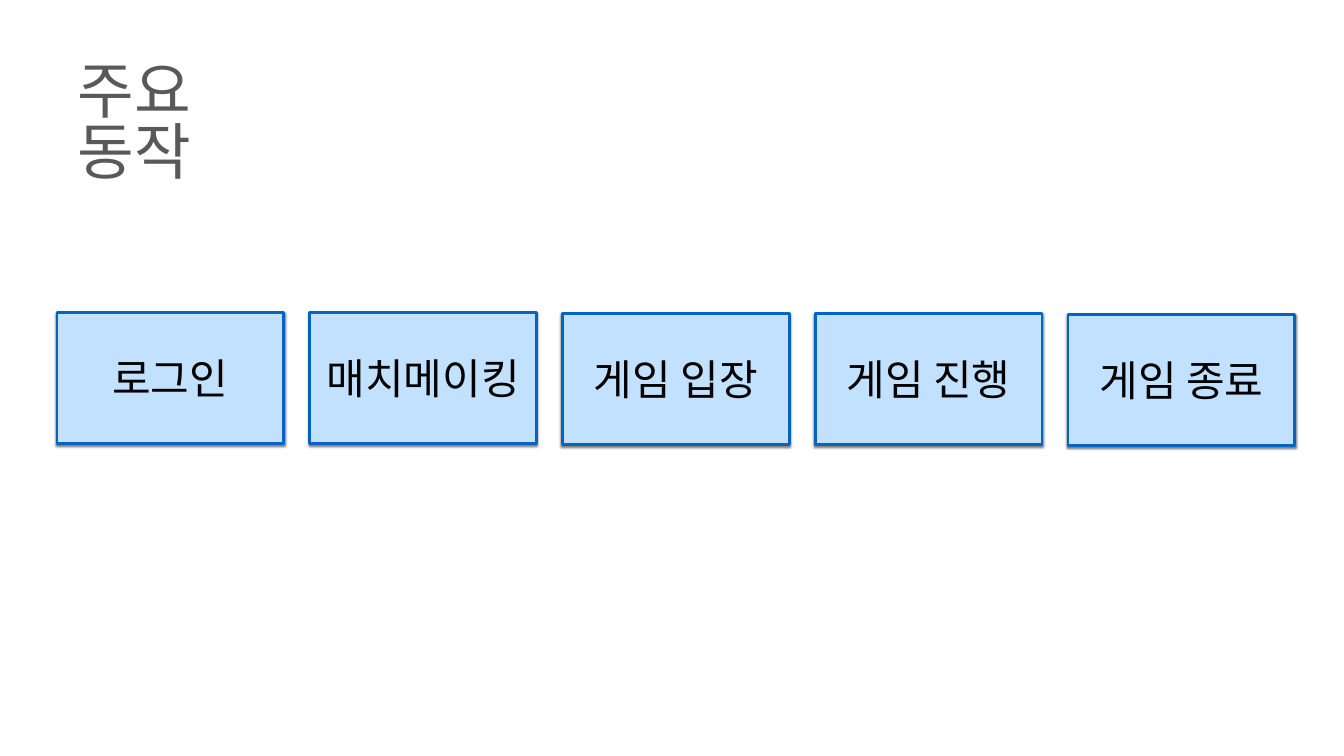
from dataclasses import dataclass

from lxml.etree import SubElement
from pptx import Presentation
from pptx.dml.color import RGBColor
from pptx.enum.shapes import MSO_SHAPE as Shape
from pptx.enum.text import MSO_ANCHOR as Anchor, MSO_AUTO_SIZE as AutoSize, PP_ALIGN as Align
from pptx.oxml import parse_xml
from pptx.oxml.ns import nsdecls, qn
from pptx.util import Cm, Pt


@dataclass(frozen=True)
class Theme:
    font: str = "Noto Sans CJK KR"
    title_size: int = 88
    step_size: int = 60
    title_color: str = "595959"
    step_color: str = "000000"
    step_fill: str = "C1E1FE"
    step_line: str = "0365C0"
    line_width: int = 4


THEME = Theme()
STEPS = ["로그인", "매치메이킹", "게임 입장", "게임 진행", "게임 종료"]


def write_text(shape, text, size, color, align, anchor):
    frame = shape.text_frame
    frame.text = text
    frame.word_wrap = True
    frame.auto_size = AutoSize.NONE
    frame.vertical_anchor = anchor
    paragraph = frame.paragraphs[0]
    paragraph.alignment = align
    paragraph.font.name = THEME.font
    paragraph.font.size = Pt(size)
    paragraph.font.color.rgb = RGBColor.from_string(color)
    for run in paragraph.runs:
        SubElement(run._r.get_or_add_rPr(), qn("a:ea"), typeface=THEME.font)
    return frame


def add_soft_shadow(shape):
    shape._element.spPr.append(parse_xml(
        f'<a:effectLst {nsdecls("a")}>'
        f'<a:outerShdw blurRad="{Pt(3)}" dist="{Pt(2)}" dir="5400000" rotWithShape="0">'
        '<a:srgbClr val="000000"><a:alpha val="50000"/></a:srgbClr>'
        '</a:outerShdw></a:effectLst>'))


def place_title(slide, text, left, top, width, height):
    title = slide.shapes.title
    title.left, title.top = Cm(left), Cm(top)
    title.width, title.height = Cm(width), Cm(height)
    frame = write_text(title, text, THEME.title_size, THEME.title_color, Align.LEFT, Anchor.TOP)
    frame.margin_top = Cm(0.45)
    frame.paragraphs[0].line_spacing = 0.82


def add_step(slide, text, left, top, width, height):
    step = slide.shapes.add_shape(Shape.RECTANGLE, Cm(left), Cm(top), Cm(width), Cm(height))
    step.fill.solid()
    step.fill.fore_color.rgb = RGBColor.from_string(THEME.step_fill)
    step.line.color.rgb = RGBColor.from_string(THEME.step_line)
    step.line.width = Pt(THEME.line_width)
    add_soft_shadow(step)
    frame = write_text(step, text, THEME.step_size, THEME.step_color, Align.CENTER, Anchor.MIDDLE)
    frame.margin_left = frame.margin_right = Cm(0.15)
    frame.margin_top = frame.margin_bottom = Cm(0.15)


def add_step_row(slide, steps, left, top, width, height, gap=1.31, drop=0.05):
    step_width = (width - gap * (len(steps) - 1)) / len(steps)
    for index, text in enumerate(steps):
        add_step(slide, text, left + index * (step_width + gap),
                 top + index // 2 * drop, step_width, height)


def main():
    presentation = Presentation()
    presentation.slide_width = Cm(67.74)
    presentation.slide_height = Cm(38.1)
    slide = presentation.slides.add_slide(presentation.slide_layouts[5])
    place_title(slide, "주요 동작", 3.66, 2.84, 12.37, 4.01)
    add_step_row(slide, STEPS, 2.87, 15.75, 62.39, 6.6)
    presentation.save("out.pptx")


if __name__ == "__main__":
    main()
